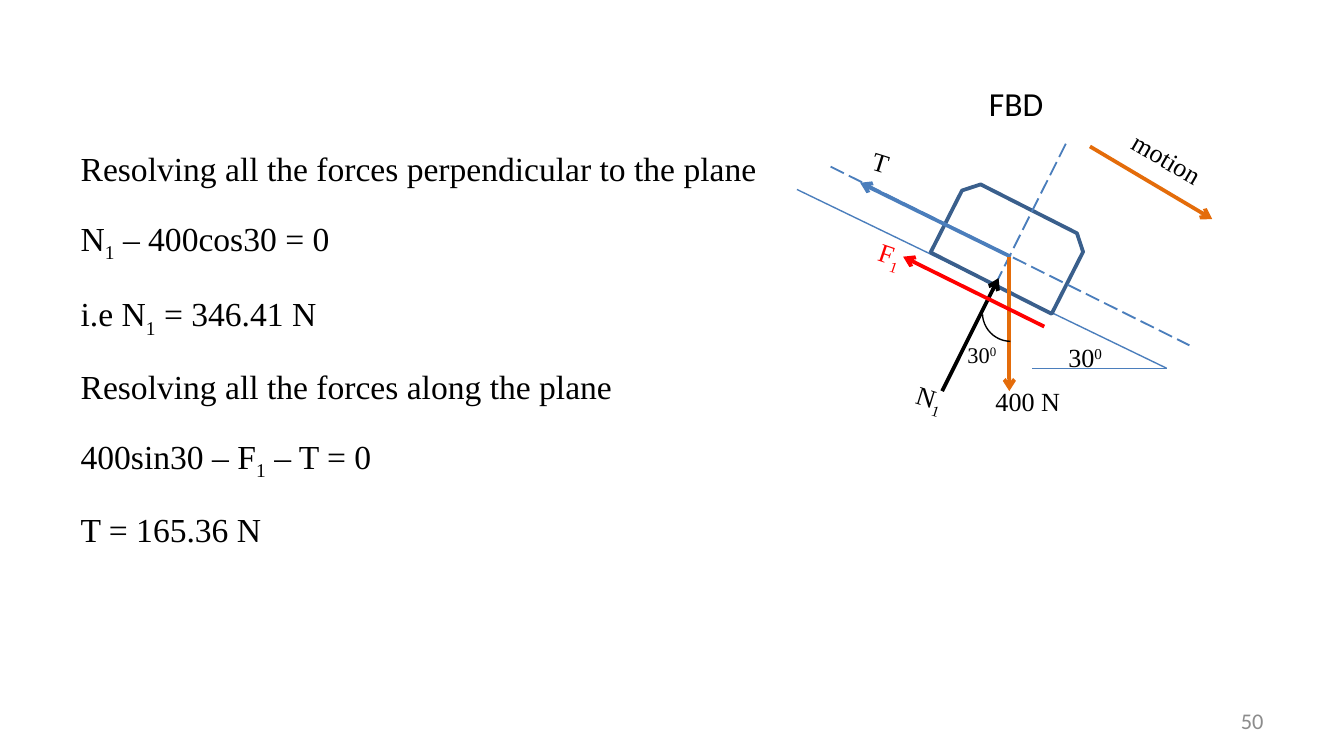
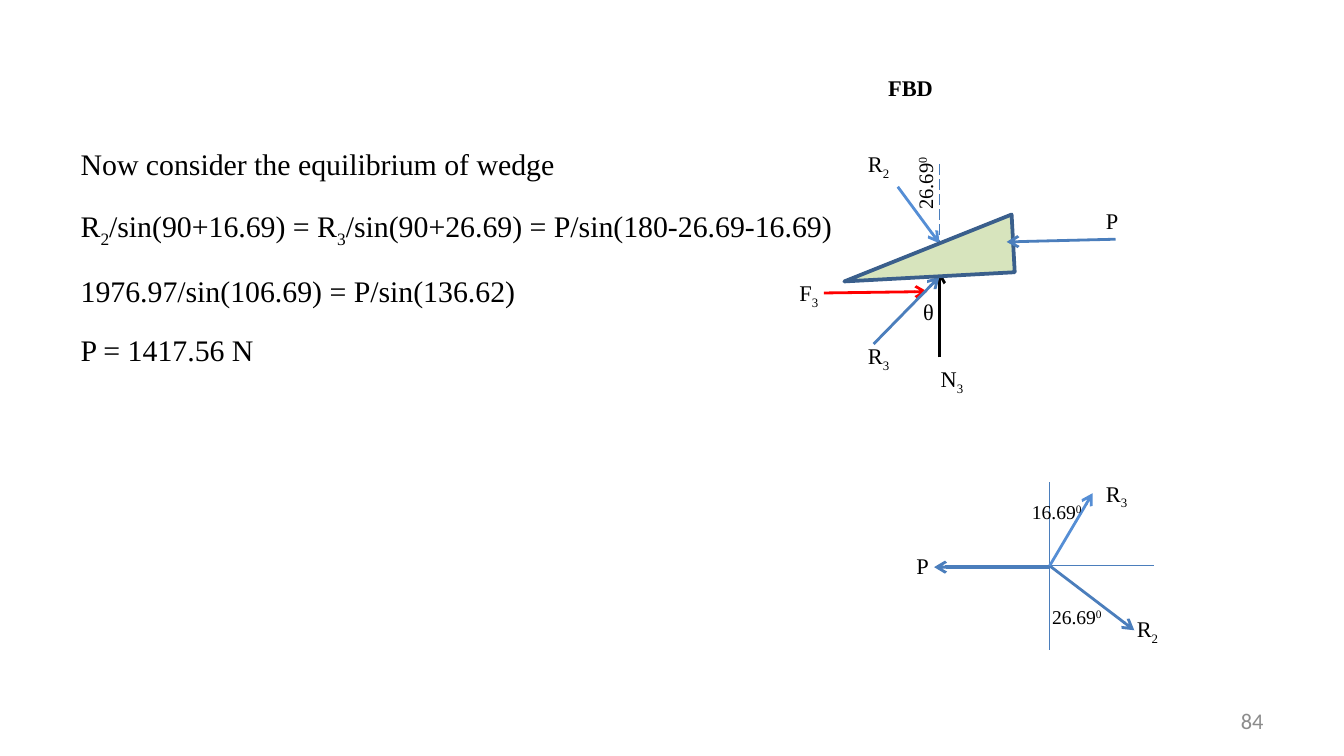
from dataclasses import dataclass

from pptx import Presentation
from pptx.dml.color import RGBColor
from pptx.enum.dml import MSO_LINE
from pptx.enum.shapes import MSO_CONNECTOR, MSO_SHAPE
from pptx.enum.text import MSO_ANCHOR, MSO_AUTO_SIZE, PP_ALIGN
from pptx.oxml.ns import qn
from pptx.util import Inches, Pt

STRAIGHT = MSO_CONNECTOR.STRAIGHT
LONG_DASH = MSO_LINE.LONG_DASH
BLOCK, WEDGE, ARC = MSO_SHAPE.SNIP_2_SAME_RECTANGLE, MSO_SHAPE.RIGHT_TRIANGLE, MSO_SHAPE.ARC
LEFT, RIGHT, JUSTIFY = PP_ALIGN.LEFT, PP_ALIGN.RIGHT, PP_ALIGN.JUSTIFY
TOP, MIDDLE = MSO_ANCHOR.TOP, MSO_ANCHOR.MIDDLE
FIXED, GROW = MSO_AUTO_SIZE.NONE, MSO_AUTO_SIZE.SHAPE_TO_FIT_TEXT

SERIF, SANS = "Times New Roman", "Calibri"
BLACK, WHITE, RED, GREY = "000000", "FFFFFF", "FF0000", "8C8C8C"
BLUE, LIGHT_BLUE, OUTLINE = "4B7EBC", "558ED5", "3A5F8C"
ORANGE, GREEN = "E46C0A", "D7E4BD"
BASELINES = {"_": "-25000", "^": "30000"}


@dataclass
class Label:
    """Text at a place; '|_' opens a subscript, '|^' a superscript, '|' closes it."""
    text: str
    left: float
    top: float
    width: float = 0.71
    height: float = 0.3
    size: float = 12
    color: str = BLACK
    rotation: float = 0
    font: str = SERIF
    bold: bool = False


@dataclass
class Stroke:
    start: tuple[float, float]
    end: tuple[float, float]
    color: str = BLUE
    width: float = 0.75
    arrow: bool = False
    dashed: bool = False


@dataclass
class Outline:
    kind: MSO_SHAPE
    box: tuple[float, float, float, float]
    rotation: float
    color: str = OUTLINE
    width: float = 2
    fill: str | None = None
    flipped: bool = False
    adjustments: tuple[float, ...] = ()


def rgb(color: str) -> RGBColor:
    return RGBColor.from_string(color)


def write_text(frame, lines: list[str], *, size: float, color: str = BLACK,
               font: str = SERIF, bold: bool = False, align=LEFT, anchor=TOP,
               line_spacing: float | None = None, auto_size=GROW) -> None:
    frame.word_wrap = True
    frame.auto_size = auto_size
    frame.vertical_anchor = anchor
    for index, line in enumerate(lines):
        paragraph = frame.add_paragraph() if index else frame.paragraphs[0]
        paragraph.alignment = align
        paragraph.line_spacing = line_spacing
        for piece in line.split("|"):
            baseline = BASELINES.get(piece[:1])
            run = paragraph.add_run()
            run.text = piece[1:] if baseline else piece
            run.font.size, run.font.name, run.font.bold = Pt(size), font, bold
            run.font.color.rgb = rgb(color)
            if baseline:
                run.font._element.set("baseline", baseline)


def draw_label(slide, label: Label, **text_format) -> None:
    box = slide.shapes.add_textbox(*map(Inches, (label.left, label.top, label.width, label.height)))
    box.rotation = label.rotation
    write_text(box.text_frame, [label.text], size=label.size, color=label.color,
               font=label.font, bold=label.bold, **text_format)


def draw_stroke(slide, stroke: Stroke) -> None:
    connector = slide.shapes.add_connector(STRAIGHT, *map(Inches, stroke.start + stroke.end))
    connector.line.color.rgb = rgb(stroke.color)
    connector.line.width = Pt(stroke.width)
    if stroke.dashed:
        connector.line.dash_style = LONG_DASH
    properties = connector._element.spPr
    if stroke.arrow:
        line = properties.find(qn("a:ln"))
        line.append(line.makeelement(qn("a:tailEnd"), {"type": "arrow"}))
    properties.append(properties.makeelement(qn("a:effectLst"), {}))


def draw_outline(slide, outline: Outline) -> None:
    shape = slide.shapes.add_shape(outline.kind, *map(Inches, outline.box))
    shape.shadow.inherit = False
    shape.rotation = outline.rotation
    for index, value in enumerate(outline.adjustments):
        shape.adjustments[index] = value
    if outline.fill:
        shape.fill.solid()
        shape.fill.fore_color.rgb = rgb(outline.fill)
    else:
        shape.fill.background()
    shape.line.color.rgb = rgb(outline.color)
    shape.line.width = Pt(outline.width)
    if outline.flipped:
        shape._element.spPr.find(qn("a:xfrm")).set("flipH", "1")


DRAW = {Label: draw_label, Stroke: draw_stroke, Outline: draw_outline}


def add_solution_slide(deck, working: list[str], size: float, number: str, diagram: list) -> None:
    slide = deck.slides.add_slide(deck.slide_layouts[1])
    title = slide.shapes.title._element
    title.getparent().remove(title)

    # Working, without bullets
    body = slide.placeholders[1]
    body.left, body.top, body.width, body.height = map(Inches, (0.5, 0.9, 9, 4.13))
    write_text(body.text_frame, working, size=size, align=JUSTIFY,
               line_spacing=1.5, auto_size=FIXED)
    for paragraph in body.text_frame.paragraphs:
        properties = paragraph._p.get_or_add_pPr()
        properties.set("marL", "0")
        properties.set("indent", "0")
        properties.append(properties.makeelement(qn("a:buNone"), {}))

    # Slide number
    draw_label(slide, Label(number, 7.17, 5.21, 2.33, color=GREY, font=SANS),
               align=RIGHT, anchor=MIDDLE, auto_size=FIXED)

    # Free-body diagram, back to front
    for part in diagram:
        DRAW[type(part)](slide, part)


# Block on an inclined plane
BLOCK_WORKING = [
    "Resolving all the forces perpendicular to the plane",
    "N|_1| – 400cos30 = 0",
    "i.e N|_1| = 346.41 N",
    "Resolving all the forces along the plane",
    "400sin30 – F|_1| – T = 0",
    "T = 165.36 N",
]
PLANE_FOOT = (8.68, 2.74)
BLOCK_DIAGRAM = [
    Stroke((5.93, 1.41), PLANE_FOOT),
    Stroke((7.68, 2.74), PLANE_FOOT),
    Label("FBD", 7.26, 0.57, 0.67, 0.4, 18, font=SANS),
    Label(" 400 N", 7.26, 2.82, 1.33, 0.34, 14),
    Label("F|_1", 6.44, 1.75, 0.5, 0.34, 14, RED, 18.6),
    Label("N|_1", 6.72, 2.81, 0.5, 0.34, 14, rotation=17.4),
    Label("30|^0", 7.85, 2.49, 0.58, 0.34, 14),
    Outline(BLOCK, (7.01, 1.52, 1.01, 0.62), 26.9, fill=WHITE),
    Stroke((6.18, 1.24), (8.85, 2.57), width=1, dashed=True),
    Stroke((7.52, 1.91), (6.4, 1.36), width=2, arrow=True),
    Stroke((7.93, 1.07), (7.18, 2.57), width=1, dashed=True),
    Stroke((7.01, 2.91), (7.43, 2.07), BLACK, 2, arrow=True),
    Stroke((7.51, 1.91), (7.51, 2.91), ORANGE, 2, arrow=True),
    Stroke((7.77, 2.43), (6.72, 1.91), RED, 2, arrow=True),
    Outline(ARC, (7.31, 2.12, 0.42, 0.42), 165.7, BLACK, 0.75, adjustments=(170.96, 7.1)),
    Label("30|^0", 7.1, 2.49, 0.58),
    Stroke((8.11, 1.09), (9.02, 1.63), ORANGE, 2, arrow=True),
    Label("motion", 8.28, 1.11, 1.14, 0.34, 14, rotation=30.1),
    Label("T", 6.39, 1.07, 0.5, 0.34, 14, rotation=17.4),
]

# Wedge and its force diagram
WEDGE_WORKING = [
    "Now consider the equilibrium of wedge",
    "R|_2|/sin(90+16.69) = R|_3|/sin(90+26.69) = P/sin(180-26.69-16.69)",
    "1976.97/sin(106.69) = P/sin(136.62)",
    "P = 1417.56 N",
]
FORCE_ORIGIN = (7.81, 4.21)
WEDGE_DIAGRAM = [
    Label("F|_3", 5.85, 2.03),
    Stroke((6.13, 2.18), (6.9, 2.17), RED, 1.5, arrow=True),
    Label("R|_3", 6.36, 2.5),
    Label("θ", 6.77, 2.17, 0.3),
    Label("N|_3", 6.9, 2.67),
    Stroke((6.99, 2.66), (6.99, 2.02), BLACK, 1.5, arrow=True),
    Stroke((6.99, 1.22), (6.99, 1.86), dashed=True),
    Stroke((6.5, 2.56), (6.99, 2.06), width=1.5, arrow=True),
    Label("P", 8.13, 1.49),
    Label("R|_2", 6.36, 1.07),
    Stroke((6.68, 1.39), (6.99, 1.81), LIGHT_BLUE, 1.5, arrow=True),
    Label("26.69|^0", 6.55, 1.18, 0.67, 0.29, 11, rotation=270),
    Label("FBD", 6.51, 0.5, bold=True),
    Outline(WEDGE, (6.27, 1.63, 1.27, 0.43), 356.9, fill=GREEN, flipped=True),
    Stroke((8.3, 1.78), (7.49, 1.8), width=1.5, arrow=True),
    Stroke((7.81, 3.59), (7.81, 4.84)),
    Stroke((7.03, 4.21), (8.59, 4.21)),
    Stroke(FORCE_ORIGIN, (8.44, 4.69), width=1.5, arrow=True),
    Label("R|_2", 8.36, 4.53),
    Stroke(FORCE_ORIGIN, (8.13, 3.67), LIGHT_BLUE, 1.5, arrow=True),
    Label("26.69|^0", 7.73, 4.45, height=0.29, size=10.5),
    Label("R|_3", 8.13, 3.52),
    Label("16.69|^0", 7.58, 3.67, height=0.29, size=10.5),
    Stroke((7.81, 4.22), (6.95, 4.22), width=1.5, arrow=True),
    Label("P", 6.72, 4.06),
]


def main() -> None:
    deck = Presentation()
    deck.slide_width = Inches(10)
    deck.slide_height = deck.slide_width * 9 // 16
    add_solution_slide(deck, BLOCK_WORKING, 18, "50", BLOCK_DIAGRAM)
    add_solution_slide(deck, WEDGE_WORKING, 16, "84", WEDGE_DIAGRAM)
    deck.save("out.pptx")


if __name__ == "__main__":
    main()
